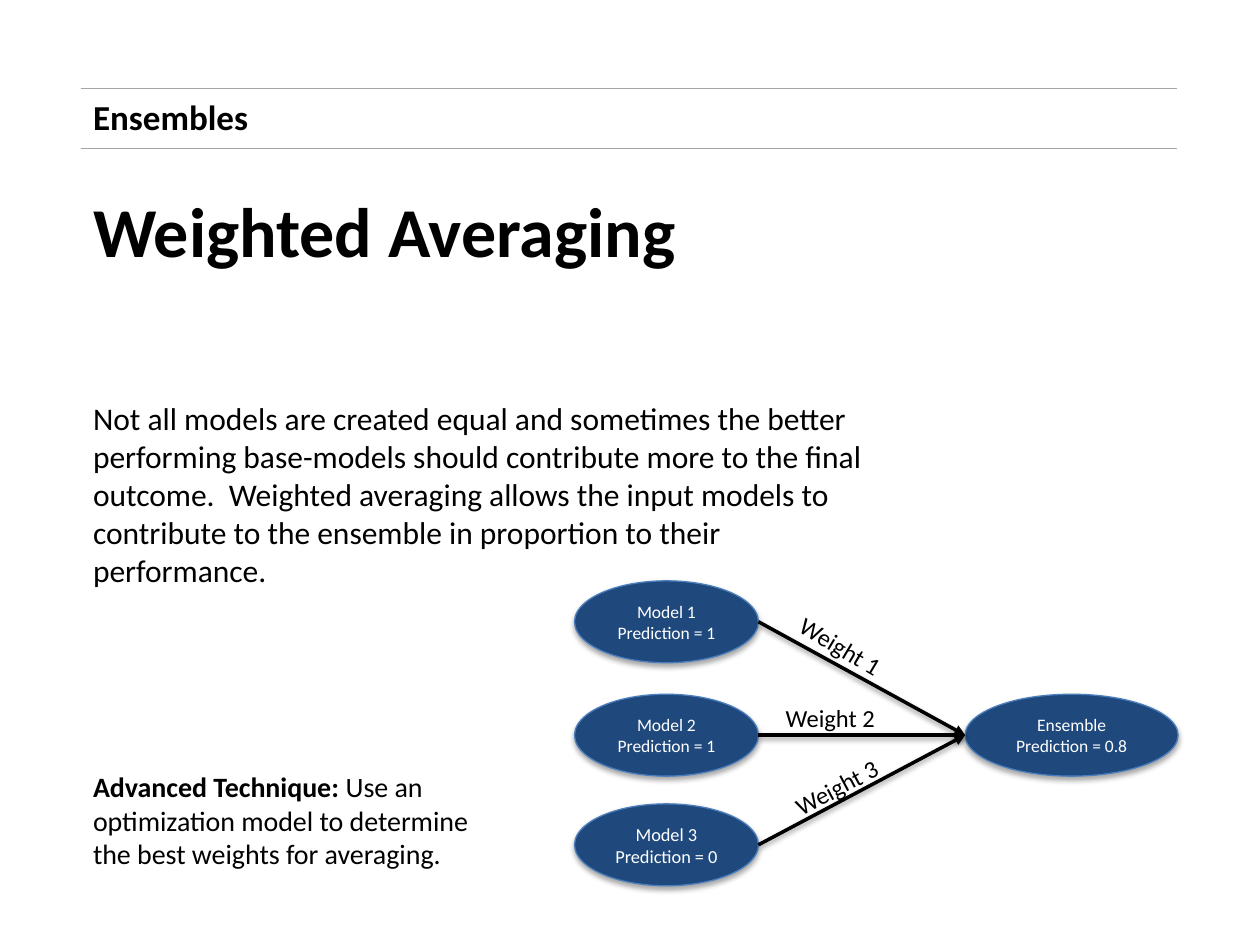
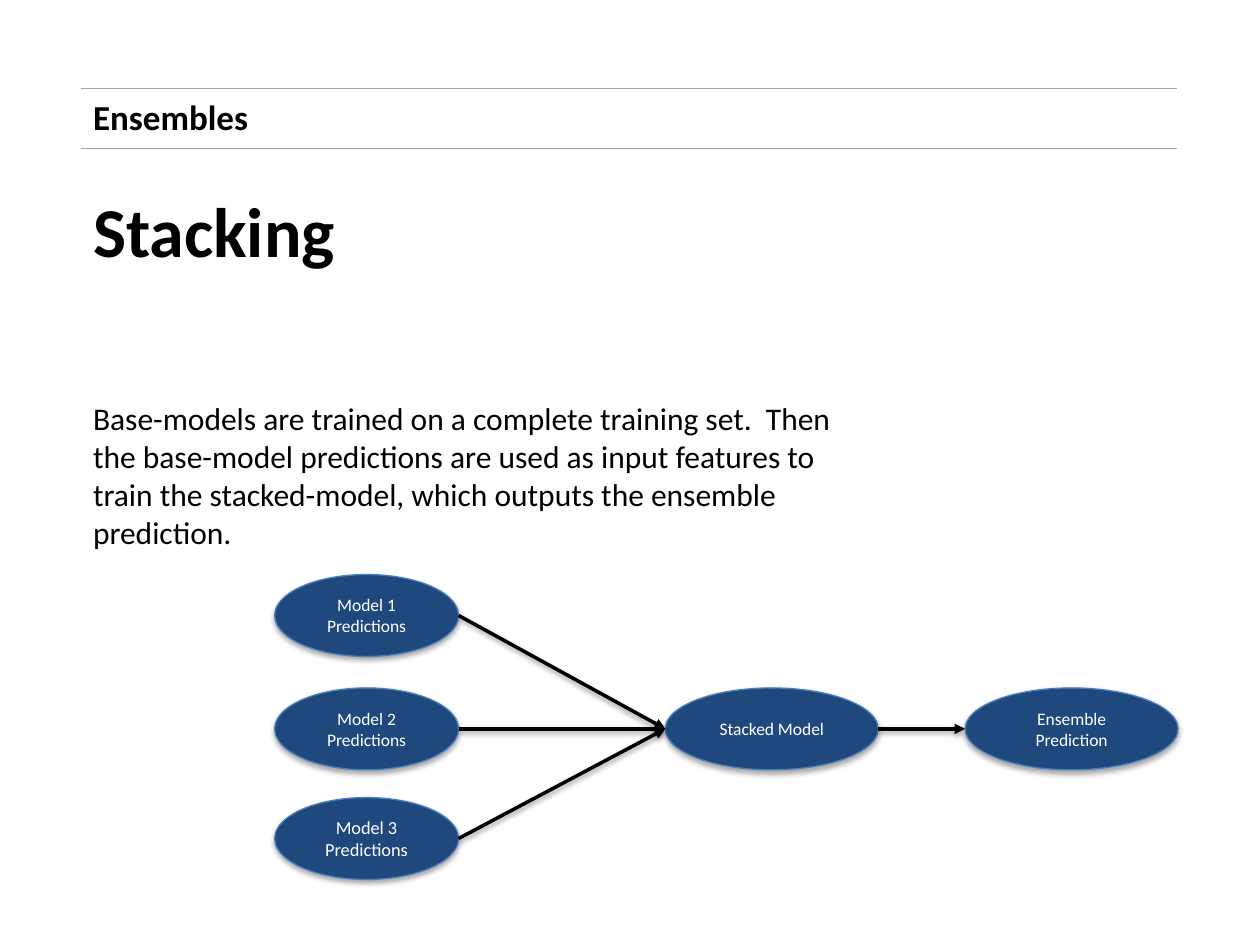
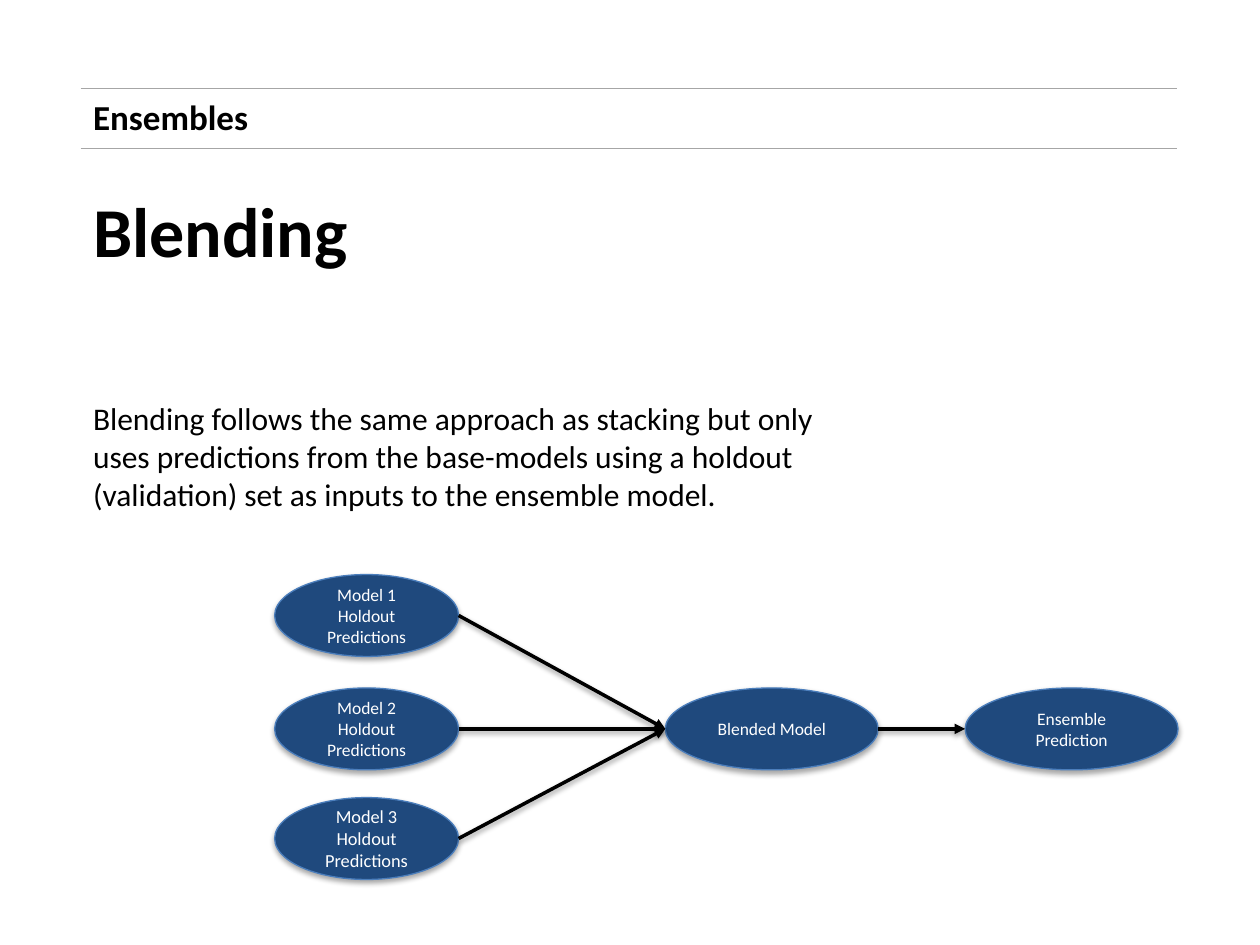
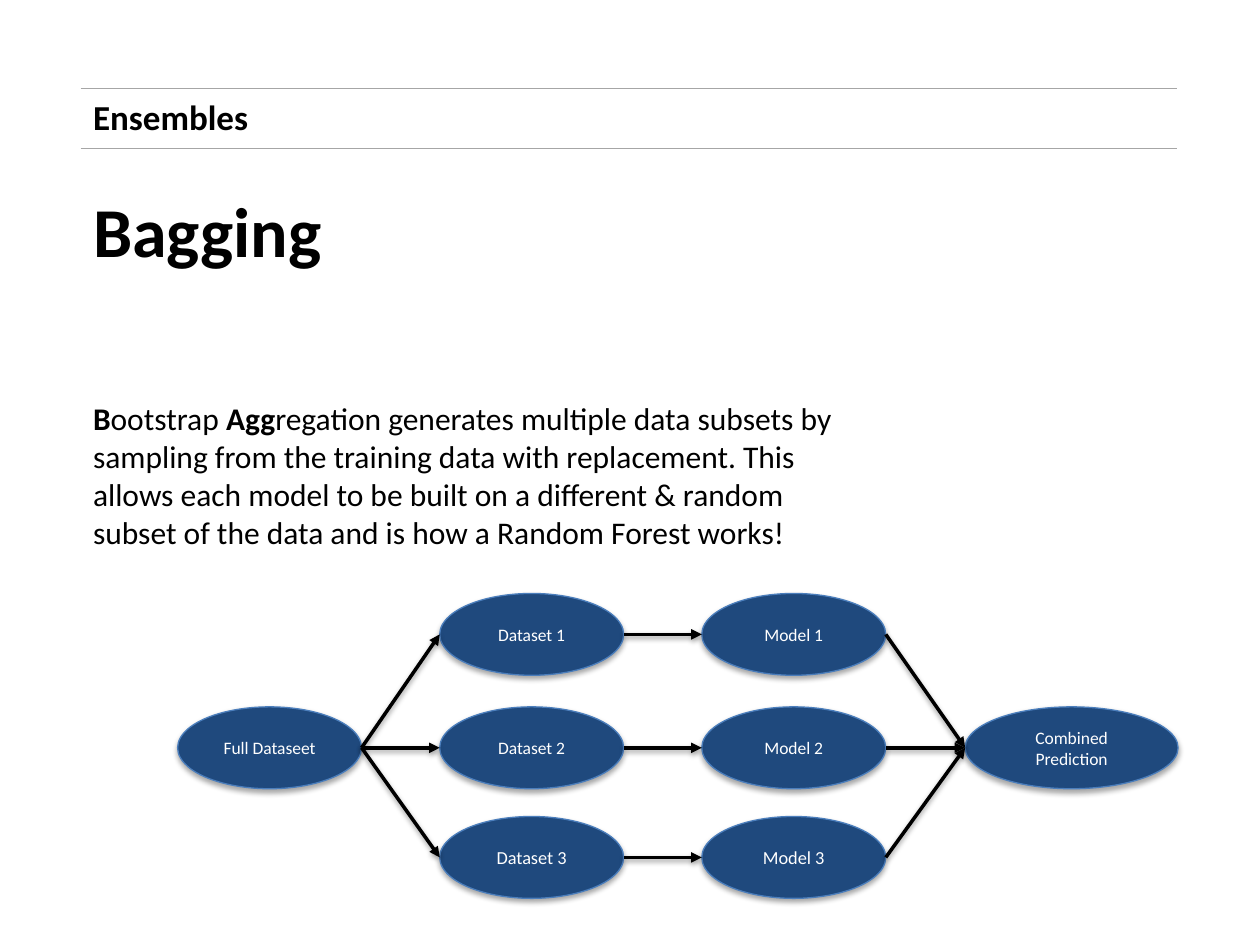
from lxml import etree
from pptx import Presentation
from pptx.dml.color import RGBColor
from pptx.enum import shapes, text
from pptx.oxml.ns import qn
from pptx.util import Inches, Pt

COLORS = {"ink": "000000", "rule": "A6A6A6", "node": "1F497D",
          "edge": "4B7EBC", "label": "FFFFFF"}
FONT = "Calibri"
LEFT, RIGHT = 0.64, 9.34
NARROW, WIDE, HIGH = 1.46, 1.69, 0.65
LAST = 7.66              # left of the closing node
ROWS = (0, 0.9, 1.77)    # offsets of the three model rows
SIZES = (10, 10, 10.5)


def color(name):
    return RGBColor.from_string(COLORS[name])


def shade(shape, dist, alpha):
    """Give a shape or connector a soft shadow below it."""
    props = shape._element.spPr
    effects = props.find(qn("a:effectLst"))
    if effects is None:
        effects = etree.SubElement(props, qn("a:effectLst"))
    outer = etree.SubElement(effects, qn("a:outerShdw"), blurRad="40000",
                             dist=str(dist), dir="5400000", rotWithShape="0")
    tint = etree.SubElement(outer, qn("a:srgbClr"), val=COLORS["ink"])
    etree.SubElement(tint, qn("a:alpha"), val=str(alpha * 1000))


class Deck:
    def __init__(self):
        self.prs = Presentation()
        self.prs.slide_width, self.prs.slide_height = Inches(10), Inches(7.5)
        self.slide = None

    def start(self, title, width, body, height):
        """Add a slide with its header band, title and body text."""
        self.slide = self.prs.slides.add_slide(self.prs.slide_layouts[6])
        for y in (0.7, 1.18):
            self.line(Inches(LEFT), Inches(y), Inches(RIGHT), Inches(y), "rule", 0.75)
        self.text(LEFT, 1.44, width, 0.77, [(title, True)], 40, wrap=False)
        self.text(LEFT, 0.71, 1.44, 0.44, [("Ensembles", True)], 20, wrap=False)
        self.text(LEFT, 3.12, 6.33, height, body, 18)

    def style(self, run, size, ink, bold=False):
        run.font.name, run.font.size, run.font.bold = FONT, Pt(size), bold
        run.font.color.rgb = color(ink)

    def text(self, x, y, w, h, parts, size, wrap=True, align=None, turn=0):
        """Add a text box from (text, bold) parts."""
        box = self.slide.shapes.add_textbox(Inches(x), Inches(y), Inches(w), Inches(h))
        box.rotation = turn
        frame = box.text_frame
        frame.word_wrap = wrap
        frame.auto_size = text.MSO_AUTO_SIZE.SHAPE_TO_FIT_TEXT
        para = frame.paragraphs[0]
        para.alignment = align
        for words, bold in parts:
            run = para.add_run()
            run.text = words
            self.style(run, size, "ink", bold)

    def line(self, x1, y1, x2, y2, ink, width):
        line = self.slide.shapes.add_connector(
            shapes.MSO_CONNECTOR.STRAIGHT, x1, y1, x2, y2)
        line.line.color.rgb = color(ink)
        line.line.width = Pt(width)
        etree.SubElement(line._element.spPr, qn("a:effectLst"))
        return line

    def node(self, x, y, label, width=NARROW, size=10):
        oval = self.slide.shapes.add_shape(
            shapes.MSO_SHAPE.OVAL, Inches(x), Inches(y), Inches(width), Inches(HIGH))
        oval.fill.solid()
        oval.fill.fore_color.rgb = color("node")
        oval.line.color.rgb = color("edge")
        oval.line.width = Pt(0.75)
        oval.shadow.inherit = False
        shade(oval, 23000, 35)
        frame = oval.text_frame
        frame.text = label
        frame.word_wrap = True
        frame.vertical_anchor = text.MSO_ANCHOR.MIDDLE
        para = frame.paragraphs[0]
        para.alignment = text.PP_ALIGN.CENTER
        self.style(para.runs[0], size, "label")
        return oval

    def column(self, x, y, label):
        """Stack three nodes; label holds a slot for the number."""
        return [self.node(x, y + row, label.format(i), size=size)
                for i, (row, size) in enumerate(zip(ROWS, SIZES), 1)]

    def link(self, start, end):
        """Draw an arrow from the right of one node to the left of the next."""
        arrow = self.line(start.left + start.width, start.top + start.height // 2,
                          end.left, end.top + end.height // 2, "ink", 2)
        etree.SubElement(arrow.line._get_or_add_ln(), qn("a:tailEnd"), type="triangle")
        shade(arrow, 20000, 38)

    def gather(self, nodes, end):
        for node in nodes:
            self.link(node, end)

    def chain(self, label, middle):
        """Draw three models feeding a middle model and then the ensemble."""
        top = 4.56
        models = self.column(2.18, top, label)
        model = self.node(5.28, top + ROWS[1], middle, WIDE)
        final = self.node(LAST, top + ROWS[1], "Ensemble Prediction", WIDE)
        self.gather(models, model)
        self.link(model, final)


def average(deck):
    deck.start("Weighted Averaging", 4.88, [(
        "Not all models are created equal and sometimes the better performing "
        "base-models should contribute more to the final outcome.  Weighted "
        "averaging allows the input models to contribute to the ensemble in "
        "proportion to their performance.", False)], 1.62)
    top = 4.61
    models = [deck.node(4.56, top + row, f"Model {i} Prediction = {vote}", size=size)
              for i, (row, size, vote) in enumerate(zip(ROWS, SIZES, (1, 1, 0)), 1)]
    final = deck.node(LAST, top + ROWS[1], "Ensemble Prediction = 0.8", WIDE)
    deck.gather(models, final)
    spots = ((6.2, 4.96, 31), (6.12, 5.53, 0), (6.17, 6.08, 332))
    for i, (x, y, turn) in enumerate(spots, 1):
        deck.text(x, y, 0.94, 0.34, [(f"Weight {i}", False)], 14,
                  align=text.PP_ALIGN.CENTER, turn=turn)
    deck.text(LEFT, 6.06, 3.34, 0.91, [
        ("Advanced Technique: ", True),
        ("Use an optimization model to determine the best weights for averaging.",
         False)], 16)


def stack(deck):
    deck.start("Stacking", 2.14, [(
        "Base-models are trained on a complete training set.  Then the base-model "
        "predictions are used as input features to train the stacked-model, which "
        "outputs the ensemble prediction.", False)], 1.31)
    deck.chain("Model {} Predictions", "Stacked Model")


def blend(deck):
    deck.start("Blending", 2.25, [(
        "Blending follows the same approach as stacking but only uses predictions "
        "from the base-models using a holdout (validation) set as inputs to the "
        "ensemble model.", False)], 1.01)
    deck.chain("Model {} Holdout Predictions", "Blended Model")


def bag(deck):
    deck.start("Bagging", 2.04, [
        ("B", True), ("ootstrap ", False), ("Agg", True),
        ("regation generates multiple data subsets by sampling from the training "
         "data with replacement. This allows each model to be built on a different "
         "& random subset of the data and is how a Random Forest works!", False)], 1.31)
    top, left, step = 4.71, 1.41, 2.08
    full = deck.node(left, top + ROWS[1], "Full Dataseet")
    sets = deck.column(left + step, top, "Dataset {}")
    models = deck.column(left + 2 * step, top, "Model {}")
    final = deck.node(LAST, top + ROWS[1], "Combined Prediction", WIDE)
    for data, model in zip(sets, models):
        deck.link(full, data)
        deck.link(data, model)
    deck.gather(models, final)


def main():
    deck = Deck()
    for build in (average, stack, blend, bag):
        build(deck)
    deck.prs.save("out.pptx")


if __name__ == "__main__":
    main()
